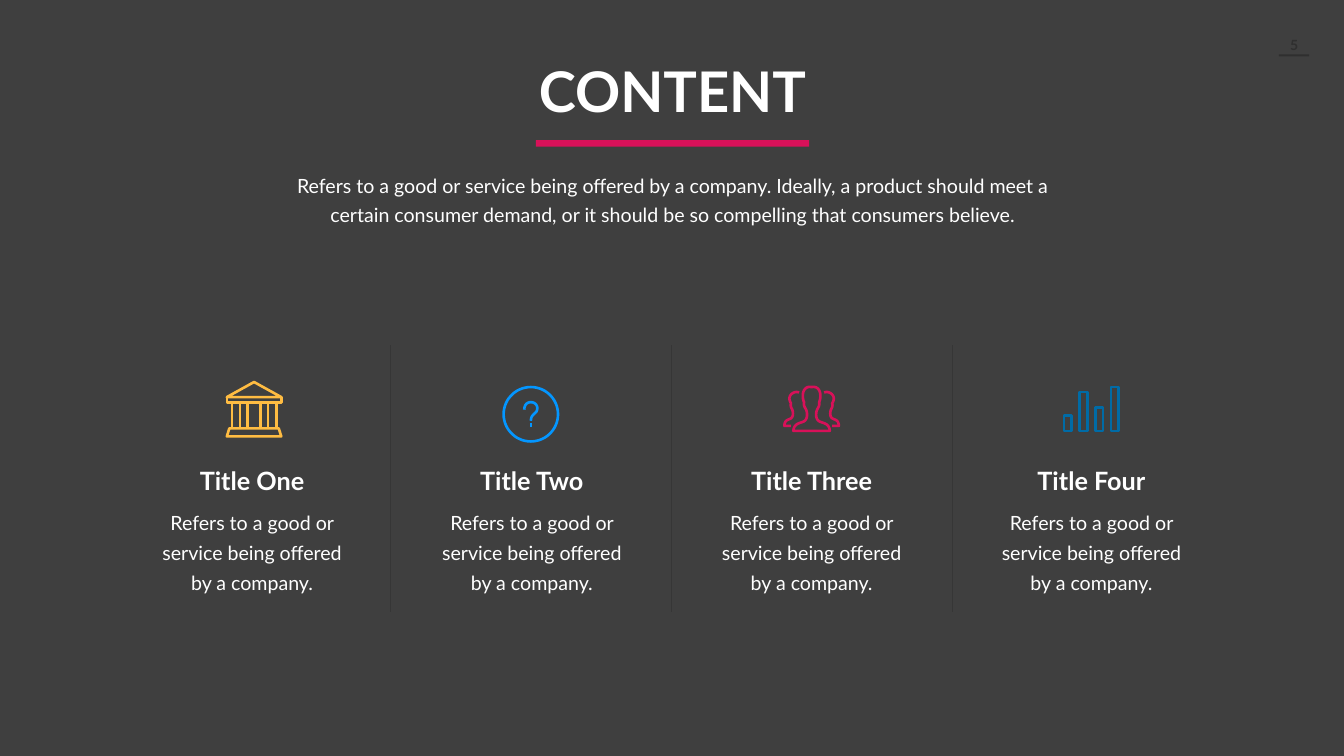
import math

import pptx
import pptx.dml.color
import pptx.enum.shapes
import pptx.enum.text
import pptx.util
from lxml import etree
from pptx.util import Inches

FONT = "Lato"
WHITE, DARK, CRIMSON = "FFFFFF", "2F2F2F", "D81159"
ICON_SIZE = 1.14
DRAWING_NS = "http://schemas.openxmlformats.org/drawingml/2006/main"


def color(value):
    return pptx.dml.color.RGBColor.from_string(value)


def add_text(slide, box, text, size, hue=WHITE, bold=False, spacing=None, inset=(0.1, 0.05)):
    shape = slide.shapes.add_textbox(*map(Inches, box))
    frame = shape.text_frame
    frame.word_wrap = True
    frame.margin_left = frame.margin_right = Inches(inset[0])
    frame.margin_top = frame.margin_bottom = Inches(inset[1])
    frame.text = text
    paragraph = frame.paragraphs[0]
    paragraph.alignment = pptx.enum.text.PP_ALIGN.CENTER
    if spacing:
        paragraph.line_spacing = pptx.util.Pt(spacing)
    font = paragraph.runs[0].font
    font.name, font.size, font.bold = FONT, pptx.util.Pt(size), bold
    font.color.rgb = color(hue)


def add_bar(slide, box, fill):
    shape = slide.shapes.add_shape(
        pptx.enum.shapes.MSO_SHAPE.RECTANGLE, *map(Inches, box))
    shape.shadow.inherit = False
    shape.fill.solid()
    shape.fill.fore_color.rgb = color(fill)
    shape.line.fill.background()


def curve(start, *segments, steps=8):
    """Sample a chain of cubic curves, each given as two controls and an end."""
    points = [start]
    for segment in segments:
        corners = (points[-1], *segment)
        for step in range(1, steps + 1):
            t = step / steps
            weights = ((1 - t) ** 3, 3 * t * (1 - t) ** 2, 3 * t * t * (1 - t), t ** 3)
            points.append(tuple(
                sum(weight * corner[axis] for weight, corner in zip(weights, corners))
                for axis in (0, 1)))
    return points


def mirror(points):
    return [(ICON_SIZE - x, y) for x, y in points]


def rectangle(left, top, right, bottom):
    return [(left, top), (right, top), (right, bottom), (left, bottom)]


# Each icon is a list of (points, closed) strokes inside a square of ICON_SIZE.
def bank_strokes():
    roof = [(0.03, 0.33), (0.57, 0.03), (1.11, 0.33)]
    base = [(0.08, 0.95), (1.06, 0.95), (1.11, 1.11), (0.03, 1.11)]
    columns = [([(x, 0.44), (x, 0.95)], False)
               for x in (0.13, 0.29, 0.44, 0.7, 0.85, 1.01)]
    return [(roof, True), (rectangle(0.03, 0.33, 1.11, 0.44), True), (base, True)] + columns


def question_strokes():
    center, radius, sides = 0.57, 0.54, 60
    ring = [(center + radius * math.cos(2 * math.pi * side / sides),
             center + radius * math.sin(2 * math.pi * side / sides))
            for side in range(sides)]
    hook = curve((0.44, 0.48),
                 ((0.44, 0.39), (0.49, 0.33), (0.57, 0.33)),
                 ((0.66, 0.33), (0.7, 0.4), (0.7, 0.45)),
                 ((0.7, 0.57), (0.57, 0.55), (0.57, 0.7)))
    return [(ring, True), (hook, False), ([(0.57, 0.74), (0.57, 0.83)], False)]


def people_strokes():
    front = curve((0.57, 0.03),
                  ((0.66, 0.01), (0.72, 0.06), (0.74, 0.15)),
                  ((0.75, 0.24), (0.74, 0.28), (0.72, 0.33)),
                  ((0.74, 0.44), (0.66, 0.44), (0.66, 0.58)),
                  ((0.66, 0.7), (0.74, 0.72), (0.77, 0.73)),
                  ((0.88, 0.76), (0.93, 0.81), (0.93, 0.9)))
    side = curve((0.82, 0.14),
                 ((0.87, 0.11), (0.95, 0.14), (0.98, 0.18)),
                 ((1.03, 0.24), (1.01, 0.3), (0.98, 0.35)),
                 ((1, 0.46), (0.94, 0.44), (0.94, 0.56)),
                 ((0.94, 0.65), (1, 0.66), (1.02, 0.67)),
                 ((1.08, 0.69), (1.11, 0.73), (1.11, 0.8))) + [(0.98, 0.8)]
    return [(front + mirror(front)[::-1], True), (side, False), (mirror(side), False)]


def chart_strokes():
    return [(rectangle(0.03 + 0.31 * index, top, 0.18 + 0.31 * index, 0.9), True)
            for index, top in enumerate((0.6, 0.13, 0.44, 0.03))]


def add_icon(slide, left, top, strokes, hue):
    builder = None
    for points, closed in strokes:
        first, *rest = [(round(x * 1000), round(y * 1000)) for x, y in points]
        if builder is None:
            builder = slide.shapes.build_freeform(*first, scale=Inches(0.001))
        else:
            builder.move_to(*first)
        builder.add_line_segments(rest, close=closed)
    shape = builder.convert_to_shape(Inches(left), Inches(top))
    shape.shadow.inherit = False
    shape.fill.background()
    shape.line.color.rgb = color(hue)
    shape.line.width = pptx.util.Pt(3.75)


def add_divider(slide, x, top, bottom):
    line = slide.shapes.add_connector(
        pptx.enum.shapes.MSO_CONNECTOR.STRAIGHT,
        Inches(x), Inches(top), Inches(x), Inches(bottom))
    line.line.color.rgb = color("363636")
    line.line.width = pptx.util.Pt(0.5)
    etree.SubElement(line._element.spPr, f"{{{DRAWING_NS}}}effectLst")


def add_page_number(slide, left, top, width, height):
    add_text(slide, (left, top, width, height - 0.04), "5", 20, DARK, True, inset=(0, 0))
    add_bar(slide, (left, top + height - 0.04, width, 0.04), DARK)


def add_heading(slide, left, top, width):
    center = left + width / 2
    add_text(slide, (left, top, width, 1.44), "CONTENT", 80, bold=True)
    add_bar(slide, (center - 2.71, top + 1.7, 5.42, 0.13), CRIMSON)
    add_text(slide, (left, top + 2.23, width, 1.23),
             "Refers to a good or service being offered by a company. Ideally, a product "
             "should meet a certain consumer demand, or it should be so compelling that "
             "consumers believe.", 28, spacing=40.7)


def add_column(slide, left, top, width, title, icon_offset, strokes, hue):
    add_icon(slide, left + icon_offset[0], top + icon_offset[1], strokes, hue)
    add_text(slide, (left, top + 1.63, width, 0.7), title, 36, bold=True)
    add_text(slide, (left, top + 2.33, width, 2.03),
             "Refers to a good or service being offered by a company.",
             28, spacing=43, inset=(0.24, 0.12))


def main():
    presentation = pptx.Presentation()
    presentation.slide_width, presentation.slide_height = Inches(26.66), Inches(15)
    slide = presentation.slides.add_slide(presentation.slide_layouts[6])
    slide.background.fill.solid()
    slide.background.fill.fore_color.rgb = color("3F3F3F")

    add_page_number(slide, 25.37, 0.72, 0.6, 0.4)
    add_heading(slide, 5.7, 1.08, 15.28)
    columns = [
        ("Title One", (1.54, 0), bank_strokes(), "FFBC42"),
        ("Title Two", (1.48, 0.1), question_strokes(), "0496FF"),
        ("Title Three", (1.5, 0.1), people_strokes(), CRIMSON),
        ("Title Four", (1.5, 0.1), chart_strokes(), "006BA6"),
    ]
    for index, column in enumerate(columns):
        add_column(slide, 2.93 + 5.55 * index, 7.55, 4.14, *column)
    for index in range(len(columns) - 1):
        add_divider(slide, 7.73 + 5.58 * index, 6.85, 12.15)
    presentation.save("out.pptx")


if __name__ == "__main__":
    main()
